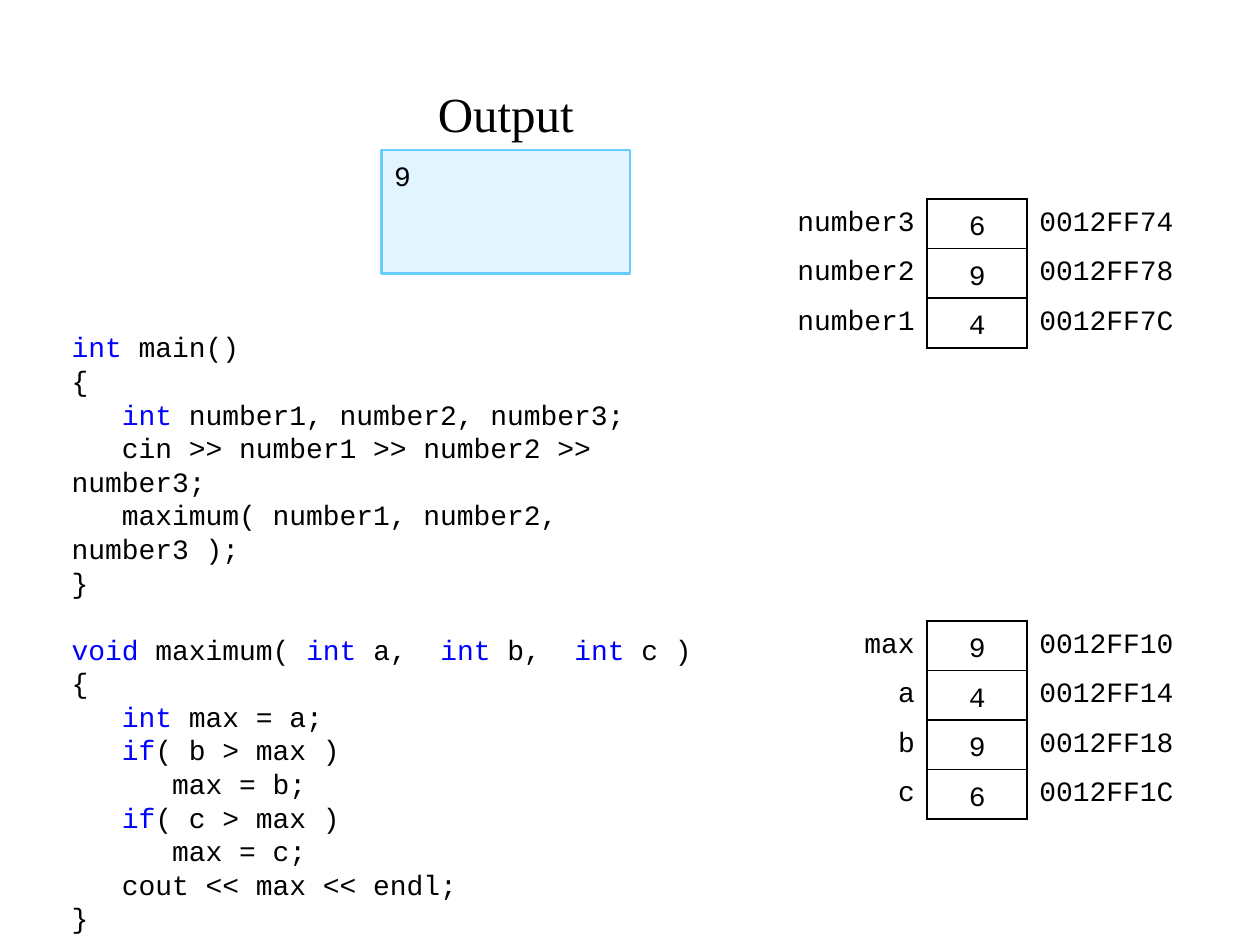
import pptx
import pptx.util
import pptx.dml.color
import pptx.enum.shapes
import pptx.enum.text
import lxml.etree

Inches = pptx.util.Inches
Pt = pptx.util.Pt
RGBColor = pptx.dml.color.RGBColor
ALIGN = pptx.enum.text.PP_ALIGN
ANCHOR = pptx.enum.text.MSO_ANCHOR

BLACK = RGBColor(0x00, 0x00, 0x00)
BLUE = RGBColor(0x00, 0x00, 0xFF)
PALE = RGBColor(0xE1, 0xF4, 0xFF)
SKY = RGBColor(0x66, 0xCC, 0xFF)

SPACE = "{http://schemas.openxmlformats.org/drawingml/2006/main}"
PLAIN = "{2D5ABB26-0587-4C30-8999-92F81FD0307C}"
MONO = {"name": "Courier New", "size": Pt(16)}
TITLE = {"name": "Times New Roman", "size": Pt(28)}
FRAME = {"word_wrap": True, "vertical_anchor": ANCHOR.MIDDLE}

MAIN = """`int` main()
{
   `int `number1, number2, number3;
   cin >> number1 >> number2 >> number3;
   maximum( number1, number2, number3 );
}"""
BODY = """`void` maximum( `int` a,  `int` b,  `int` c )
{
   `int` max = a;
   `if`( b > max )
      max = b;
   `if`( c > max )
      max = c;
   cout << max << endl;
}"""


def apply(target, values):
    for key, value in values.items():
        setattr(target, key, value)


def write(para, text, font, align=ALIGN.LEFT):
    para.alignment = align
    for index, part in enumerate(text.split("`")):
        if part:
            run = para.add_run()
            run.text = part
            apply(run.font, font)
            run.font.color.rgb = BLUE if index % 2 else BLACK


def add_text(slide, box, **frame):
    area = slide.shapes.add_textbox(*map(Inches, box)).text_frame
    apply(area, FRAME | frame)
    return area


def add_code(slide, box, parts):
    area = add_text(slide, box, vertical_anchor=ANCHOR.TOP)
    para = area.paragraphs[0]
    for group, part in enumerate(parts):
        for row, line in enumerate(part.splitlines()):
            if group or row:
                para = area.add_paragraph()
            if group and not row:
                para.space_before = Pt(19.2)
            write(para, line, MONO)


def add_output(slide, box):
    left, top, width, height = box
    head = 0.59
    title = add_text(slide, (left + 0.2, top, width - 0.4, head))
    write(title.paragraphs[0], "Output", TITLE, ALIGN.CENTER)
    screen = slide.shapes.add_shape(
        pptx.enum.shapes.MSO_SHAPE.RECTANGLE,
        *map(Inches, (left, top + head, width, height - head)))
    screen.shadow.inherit = False
    screen.fill.solid()
    screen.fill.fore_color.rgb = PALE
    screen.line.color.rgb = SKY
    screen.line.width = Pt(1.5)
    apply(screen.text_frame, FRAME | {
        "vertical_anchor": ANCHOR.TOP,
        "margin_top": Inches(0.07), "margin_bottom": Inches(0.07)})
    write(screen.text_frame.paragraphs[0], "9", MONO)


def add_edges(cell, edges):
    props = cell._tc.get_or_add_tcPr()
    for side, width in edges.items():
        line = lxml.etree.SubElement(props, f"{SPACE}ln{side}", w=str(Pt(width)))
        fill = lxml.etree.SubElement(line, f"{SPACE}solidFill")
        lxml.etree.SubElement(fill, f"{SPACE}srgbClr", val=str(BLACK))


def add_stack(slide, box, rows, rim):
    left, top, width, height = box
    mid, last = 0.79, 1.38
    first = width - mid - last
    step = height / len(rows)
    table = slide.shapes.add_table(len(rows), 3, *map(Inches, box)).table
    apply(table, {"first_row": False, "horz_banding": False})
    table._tbl.tblPr.find(f"{SPACE}tableStyleId").text = PLAIN
    for column, size in zip(table.columns, (first, mid, last)):
        column.width = Inches(size)
    for index, (name, value, address) in enumerate(rows):
        table.rows[index].height = Inches(step)
        edges = ({"R": 1.5},
                 {"L": 1.5, "R": 1.5, "T": 1 if index else rim,
                  "B": 1.5 if index == len(rows) - 1 else 1},
                 {"L": 1.5})
        texts = (name, "", address)
        aligns = (ALIGN.RIGHT, ALIGN.CENTER, ALIGN.LEFT)
        for cell, text, align, edge in zip(table.rows[index].cells, texts, aligns, edges):
            add_edges(cell, edge)
            cell.fill.background()
            apply(cell, {
                "vertical_anchor": ANCHOR.MIDDLE,
                "margin_left": Inches(0.1 if align == ALIGN.LEFT else 0.06),
                "margin_right": Inches(0.1 if align == ALIGN.RIGHT else 0.08),
                "margin_top": Inches(0.04), "margin_bottom": Inches(0.04)})
            write(cell.text_frame.paragraphs[0], text, MONO, align)
        spot = (left + first + (mid - step) / 2, top + index * step, step, step)
        area = add_text(slide, spot, margin_top=Inches(0.06))
        write(area.paragraphs[0], value, MONO, ALIGN.CENTER)


def main():
    deck = pptx.Presentation()
    apply(deck, {"slide_width": Inches(10), "slide_height": Inches(7.5)})
    slide = deck.slides.add_slide(deck.slide_layouts[6])
    add_code(slide, (0.47, 2.57, 5.51, 4.33), (MAIN, BODY))
    add_output(slide, (3.03, 0.6, 1.97, 1.57))
    add_stack(slide, (6.18, 1.58, 3.35, 1.18), (
        ("number3", "6", "0012FF74"),
        ("number2", "9", "0012FF78"),
        ("number1", "4", "0012FF7C")), 1)
    add_stack(slide, (6.57, 4.93, 2.96, 1.57), (
        ("max", "9", "0012FF10"),
        ("a", "4", "0012FF14"),
        ("b", "9", "0012FF18"),
        ("c", "6", "0012FF1C")), 1.5)
    deck.save("out.pptx")


if __name__ == "__main__":
    main()
